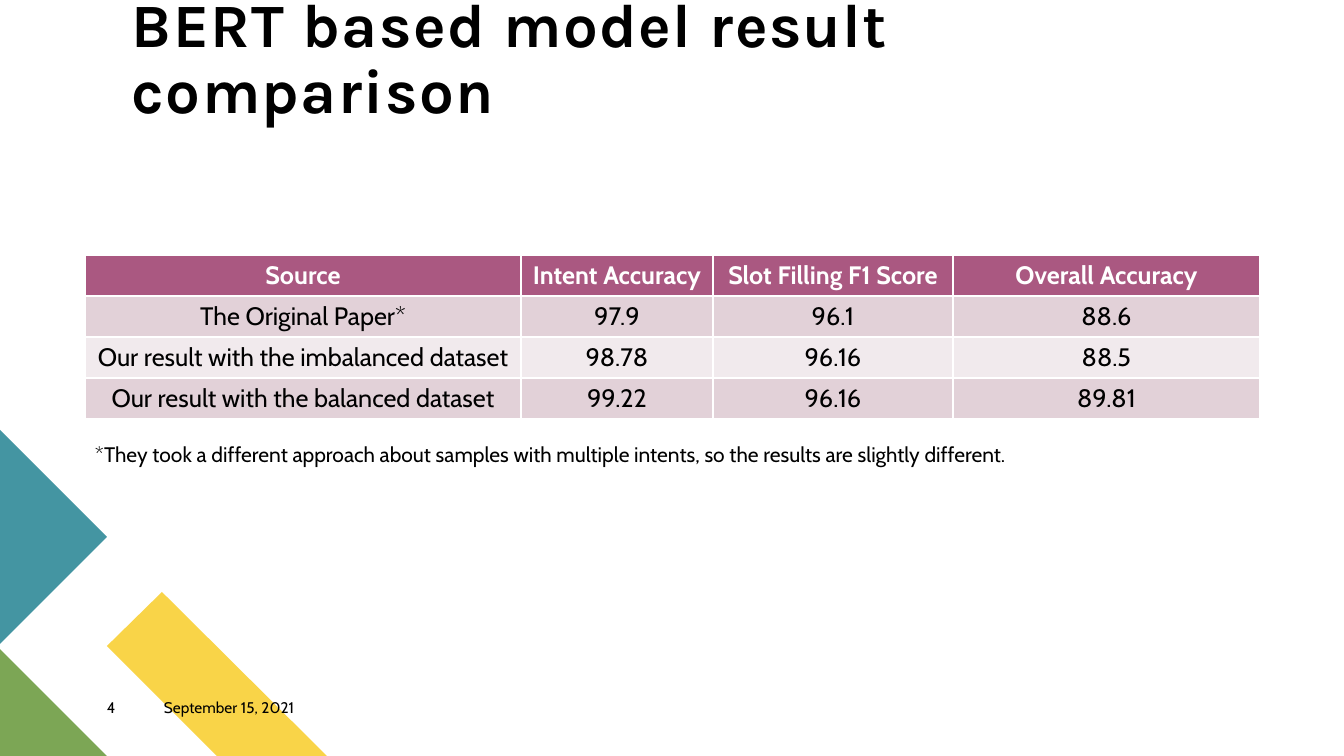
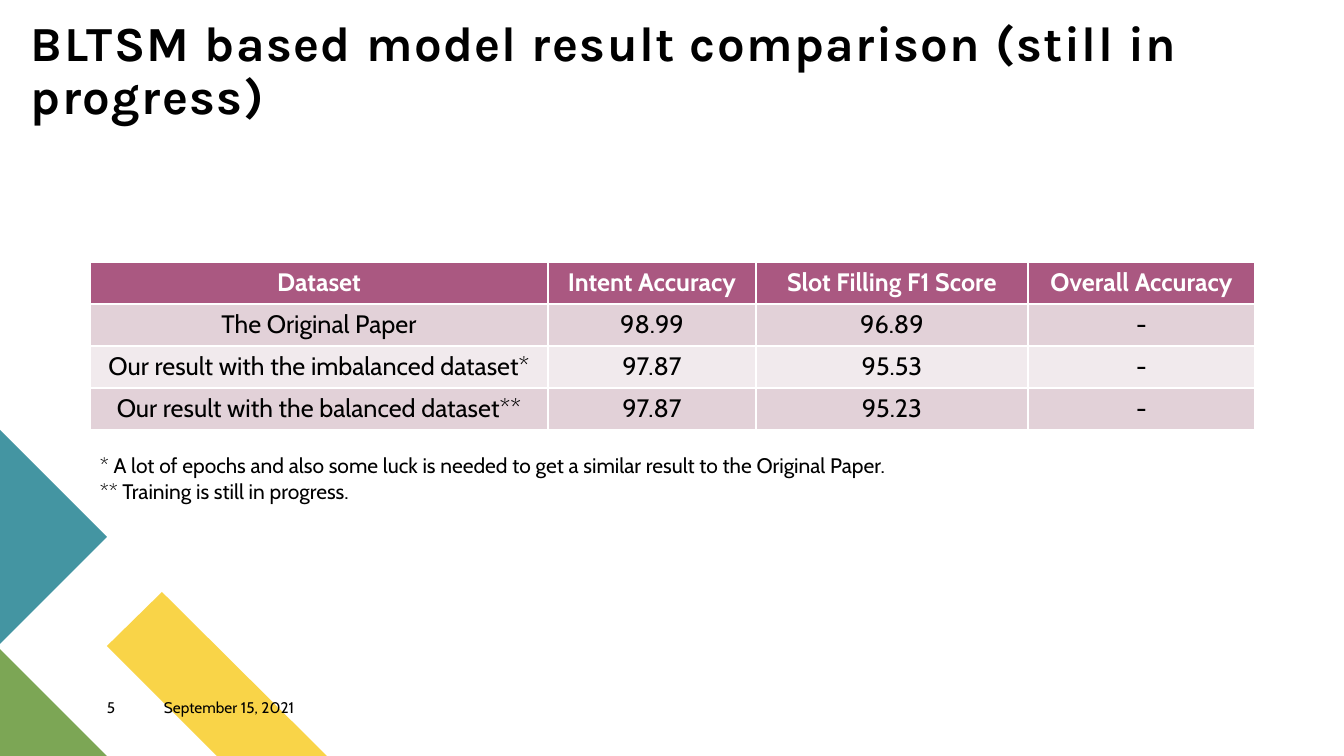
"""Build two slides comparing model results in tables."""
from pptx import Presentation
from pptx.dml.color import RGBColor
from pptx.enum.text import MSO_ANCHOR as Anchor, MSO_AUTO_SIZE as AutoSize, PP_ALIGN as Align
from pptx.util import Emu, Pt

PX = 914400 / 100.8
COLORS = {
    "text": "000000", "white": "FFFFFF", "header": "AA5881",
    "odd_row": "E2D1D8", "even_row": "F1EAED",
    "yellow": "F9D448", "green": "7CA655", "teal": "4495A2",
}
BODY_FONT, TITLE_FONT = "Cabin", "Karla"
DATE = "September 15, 2021"
CORNER_SHAPES = [
    ("yellow", [(327, 756), (217, 756), (107, 646), (162, 592)]),
    ("green", [(107, 756), (0, 756), (0, 649)]),
    ("teal", [(0, 430), (107, 537), (0, 644)]),
]
METRICS = ["Intent Accuracy", "Slot Filling F1 Score", "Overall Accuracy"]
SLIDES = [
    {
        "number": "4",
        "title": "BERT based model result comparison",
        "title_box": (132, 59, 1080, 68), "title_size": 44,
        "table_at": (85, 255), "columns": [436, 192, 240, 307], "row_height": 41,
        "rows": [
            ["Source", *METRICS],
            ["The Original Paper*", "97.9", "96.1", "88.6"],
            ["Our result with the imbalanced dataset", "98.78", "96.16", "88.5"],
            ["Our result with the balanced dataset", "99.22", "96.16", "89.81"],
        ],
        "note_box": (85, 437, 950, 35),
        "notes": ["*They took a different approach about samples with multiple intents, "
                  "so the results are slightly different."],
    },
    {
        "number": "5",
        "title": "BLTSM based model result comparison (still in progress)",
        "title_box": (31, 59, 1325, 66), "title_size": 35,
        "table_at": (90, 262), "columns": [458, 208, 272, 227], "row_height": 42,
        "rows": [
            ["Dataset", *METRICS],
            ["The Original Paper", "98.99", "96.89", "-"],
            ["Our result with the imbalanced dataset*", "97.87", "95.53", "-"],
            ["Our result with the balanced dataset**", "97.87", "95.23", "-"],
        ],
        "note_box": (90, 448, 827, 61),
        "notes": ["* A lot of epochs and also some luck is needed to get a similar result "
                  "to the Original Paper.",
                  "** Training is still in progress."],
    },
]


def px(*lengths):
    return [Emu(round(length * PX)) for length in lengths]


def style(para, size, color="text", font=BODY_FONT, bold=False):
    para.font.name, para.font.size, para.font.bold = font, Pt(size), bold
    para.font.color.rgb = RGBColor.from_string(COLORS[color])


deck = Presentation()
deck.slide_width, deck.slide_height = px(1344, 756)
layout = deck.slide_layouts[5]
pages = [deck.slides.add_slide(layout) for content in SLIDES]

for color, points in CORNER_SHAPES:
    builder = pages[0].shapes.build_freeform(*points[0], scale=PX)
    builder.add_line_segments(points[1:], close=True)
    corner = builder.convert_to_shape()
    corner.shadow.inherit = False
    corner.fill.solid()
    corner.fill.fore_color.rgb = RGBColor.from_string(COLORS[color])
    corner.line.fill.background()
    layout.shapes.element.append(corner.element)

for page, content in zip(pages, SLIDES):
    title = page.shapes.title
    title.left, title.top, title.width, title.height = px(*content["title_box"])
    frame = title.text_frame
    frame.text = content["title"]
    frame.word_wrap, frame.auto_size = True, AutoSize.NONE
    frame.vertical_anchor = Anchor.BOTTOM
    frame.margin_left = frame.margin_right = frame.margin_top = frame.margin_bottom = 0
    para = frame.paragraphs[0]
    para.alignment, para.line_spacing = Align.LEFT, 0.9
    style(para, content["title_size"], font=TITLE_FONT, bold=True)
    para.runs[0].font._element.set("spc", "100")

    for text, left, width in [(content["number"], 107, 57), (DATE, 164, 145)]:
        frame = page.shapes.add_textbox(*px(left, 698, width, 27)).text_frame
        frame.text, frame.word_wrap = text, True
        frame.margin_left = frame.margin_right = frame.margin_top = frame.margin_bottom = 0
        style(frame.paragraphs[0], 11)

    rows, columns = content["rows"], content["columns"]
    size = (sum(columns), content["row_height"] * len(rows))
    table = page.shapes.add_table(
        len(rows), len(columns), *px(*content["table_at"], *size)).table
    for column, width in zip(table.columns, columns):
        column.width = px(width)[0]
    for row_index, row in enumerate(rows):
        is_header = row_index == 0
        fill = "header" if is_header else "odd_row" if row_index % 2 else "even_row"
        for column_index, text in enumerate(row):
            cell = table.cell(row_index, column_index)
            cell.text = text
            cell.fill.solid()
            cell.fill.fore_color.rgb = RGBColor.from_string(COLORS[fill])
            para = cell.text_frame.paragraphs[0]
            para.alignment = Align.CENTER
            style(para, 18, "white" if is_header else "text", bold=is_header)

    frame = page.shapes.add_textbox(*px(*content["note_box"])).text_frame
    frame.text = "\n".join(content["notes"])
    frame.word_wrap, frame.auto_size = False, AutoSize.SHAPE_TO_FIT_TEXT
    for para in frame.paragraphs:
        style(para, 15)

deck.save("out.pptx")
